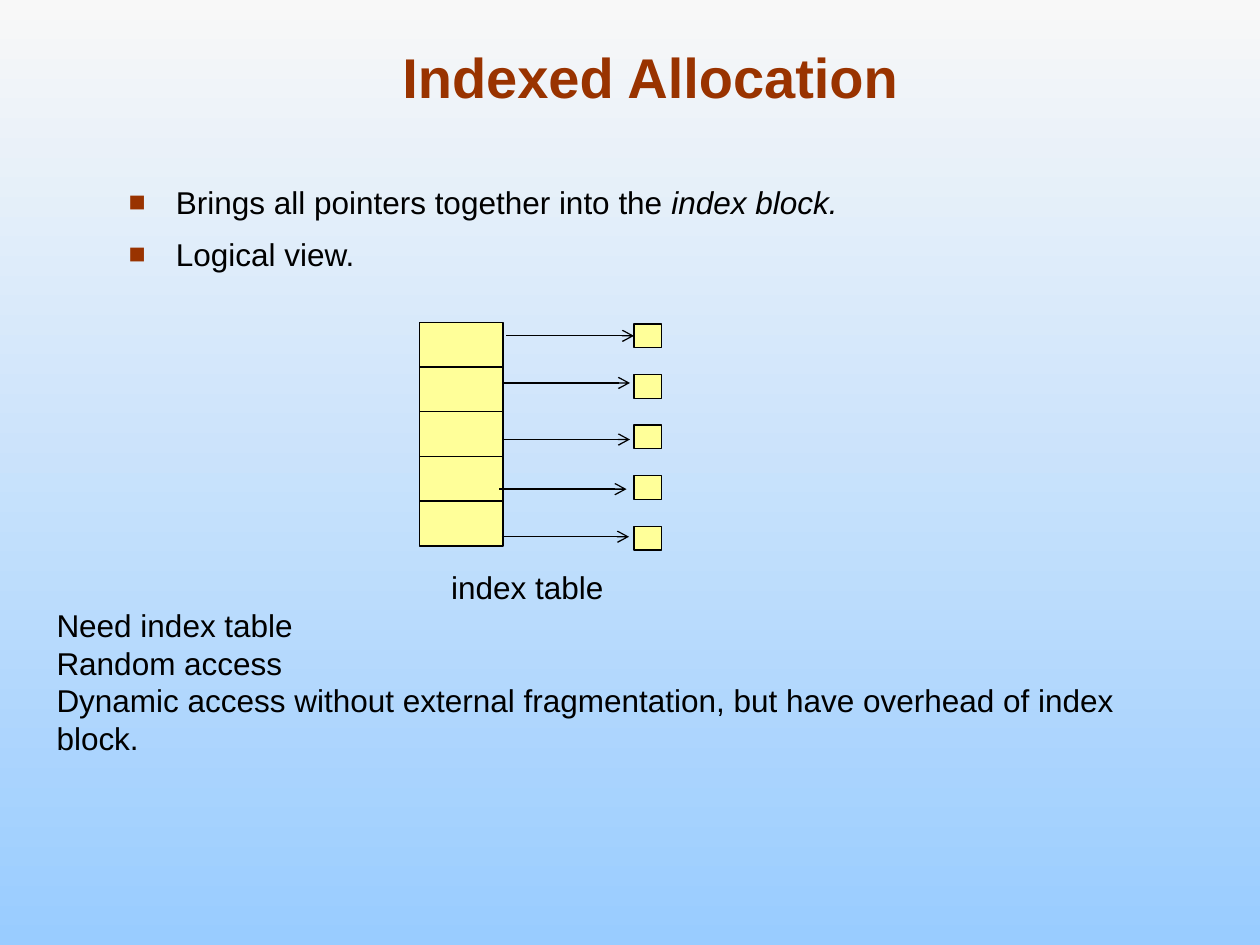
from dataclasses import dataclass

from lxml.etree import SubElement
from pptx import Presentation
from pptx.dml.color import RGBColor
from pptx.enum.shapes import MSO_CONNECTOR, MSO_SHAPE
from pptx.enum.text import MSO_ANCHOR, MSO_AUTO_SIZE, PP_ALIGN
from pptx.oxml.ns import qn
from pptx.util import Cm, Pt


@dataclass(frozen=True)
class Theme:
    font: str = "Arial"
    accent: RGBColor = RGBColor(0x99, 0x33, 0x00)
    ink: RGBColor = RGBColor(0, 0, 0)
    block: RGBColor = RGBColor(0xFF, 0xFF, 0x99)
    sky_top: RGBColor = RGBColor(0xF8, 0xF8, 0xF8)
    sky_bottom: RGBColor = RGBColor(0x99, 0xCC, 0xFF)
    title_size: Pt = Pt(32)
    text_size: Pt = Pt(18)
    line_width: Pt = Pt(0.75)


theme = Theme()


def style_font(font, size=theme.text_size, color=theme.ink, bold=False):
    font.name = theme.font
    font.size = size
    font.bold = bold
    font.color.rgb = color


def add_block(left, top, width, height):
    block = slide.shapes.add_shape(MSO_SHAPE.RECTANGLE, left, top, width, height)
    block.shadow.inherit = False
    block.fill.solid()
    block.fill.fore_color.rgb = theme.block
    block.line.color.rgb = theme.ink
    block.line.width = theme.line_width
    return block


prs = Presentation()
prs.slide_width, prs.slide_height = Cm(25.4), Cm(19.05)
slide = prs.slides.add_slide(prs.slide_layouts[1])

# Background
sky = slide.background.fill
sky.gradient()
sky.gradient_angle = 270
for stop, color in zip(sky.gradient_stops, (theme.sky_top, theme.sky_bottom)):
    stop.color.rgb = color

# Title
heading = slide.shapes.title
heading.left, heading.top, heading.width, heading.height = Cm(1.9), Cm(0.64), Cm(22.43), Cm(1.7)
heading.text_frame.text = "Indexed Allocation"
heading.text_frame.auto_size = MSO_AUTO_SIZE.NONE
heading.text_frame.vertical_anchor = MSO_ANCHOR.BOTTOM
heading.text_frame.paragraphs[0].alignment = PP_ALIGN.CENTER
style_font(heading.text_frame.paragraphs[0].runs[0].font, theme.title_size, theme.accent, True)

# Bullet list, each point as (plain text, emphasised text)
points = [("Brings all pointers together into the ", "index block."), ("Logical view.", "")]
body = slide.placeholders[1]
body.left, body.top, body.width, body.height = Cm(2.34), Cm(3.56), Cm(20.42), Cm(2.6)
body.text_frame.text = "\n".join(plain for plain, _ in points)
body.text_frame.auto_size = MSO_AUTO_SIZE.NONE
for i, (paragraph, (_, emphasis)) in enumerate(zip(body.text_frame.paragraphs, points)):
    paragraph.space_before = Pt(7.9 if i else 0)
    properties = paragraph._p.get_or_add_pPr()
    properties.set("marL", str(Cm(0.95)))
    properties.set("indent", str(-Cm(0.95)))
    bullet_color = SubElement(properties, qn("a:buClr"))
    SubElement(bullet_color, qn("a:srgbClr"), val=str(theme.accent))
    SubElement(properties, qn("a:buSzPct"), val="90000")
    SubElement(properties, qn("a:buFont"), typeface=theme.font)
    SubElement(properties, qn("a:buChar"), char="■")
    if emphasis:
        emphasised = paragraph.add_run()
        emphasised.text = emphasis
        emphasised.font.italic = True
    for run in paragraph.runs:
        style_font(run.font)

# Index table and the data blocks it points to
for row in range(5):
    add_block(Cm(8.46), Cm(6.5 + 0.9 * row), Cm(1.68), Cm(0.91))
data_blocks = [add_block(Cm(12.78), Cm(6.53 + 1.02 * row), Cm(0.56), Cm(0.48)) for row in range(5)]

# Pointers, each as (start, height on the slide)
pointers = [(10.21, 6.77), (10.13, 7.72), (10.13, 8.86), (10.06, 9.86), (10.11, 10.82)]
for row, (start, level) in enumerate(pointers):
    pointer = slide.shapes.add_connector(
        MSO_CONNECTOR.STRAIGHT, Cm(start), Cm(level), Cm(start + 2.57), Cm(level))
    if row == 0:
        pointer.end_connect(data_blocks[row], 1)
    pointer.line.color.rgb = theme.ink
    pointer.line.width = theme.line_width
    SubElement(pointer.line._get_or_add_ln(), qn("a:tailEnd"), type="arrow")
    SubElement(pointer._element.spPr, qn("a:effectLst"))

# Caption and remarks
remarks = [
    "Need index table",
    "Random access",
    "Dynamic access without external fragmentation, but have overhead of index block.",
]
notes = [
    (["index table"], (8.84, 11.33, 3.58, 1.02), PP_ALIGN.CENTER, MSO_ANCHOR.MIDDLE),
    (remarks, (0.89, 12.09, 23.65, 3.3), PP_ALIGN.LEFT, MSO_ANCHOR.TOP),
]
for lines, bounds, alignment, anchor in notes:
    frame = slide.shapes.add_textbox(*map(Cm, bounds)).text_frame
    frame.text = "\n".join(lines)
    frame.word_wrap = False
    frame.vertical_anchor = anchor
    for paragraph in frame.paragraphs:
        paragraph.alignment = alignment
        style_font(paragraph.runs[0].font)

prs.save("out.pptx")
